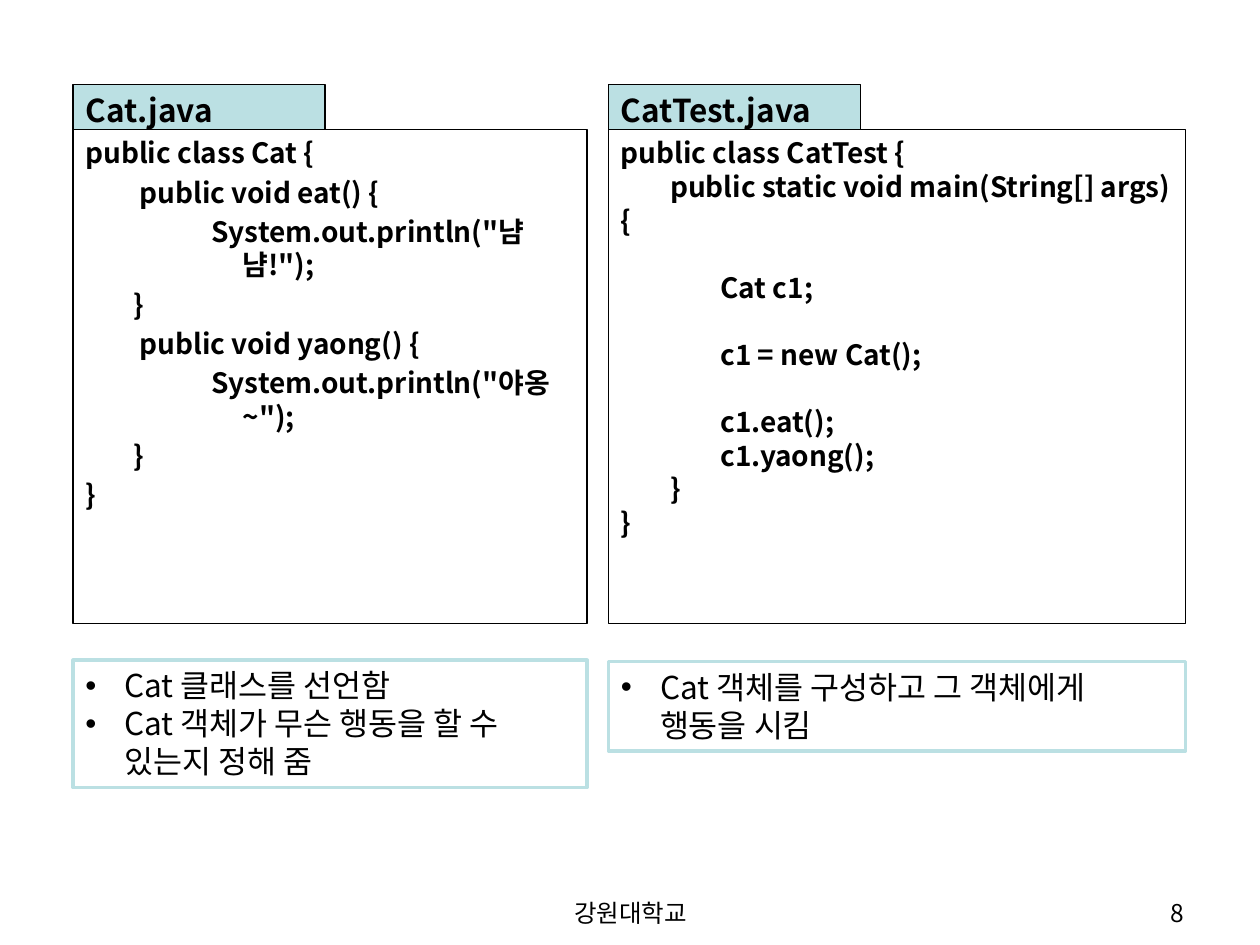
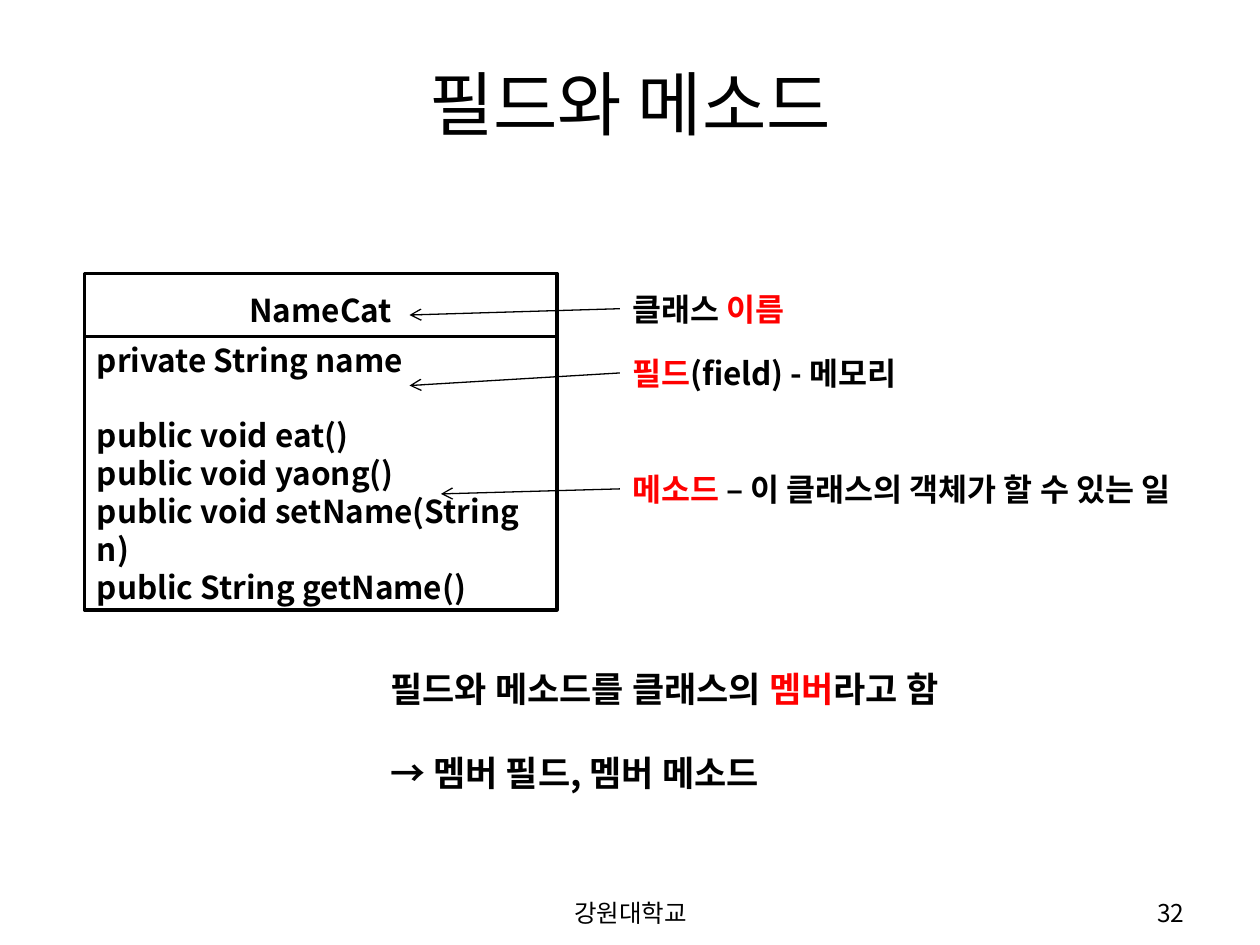
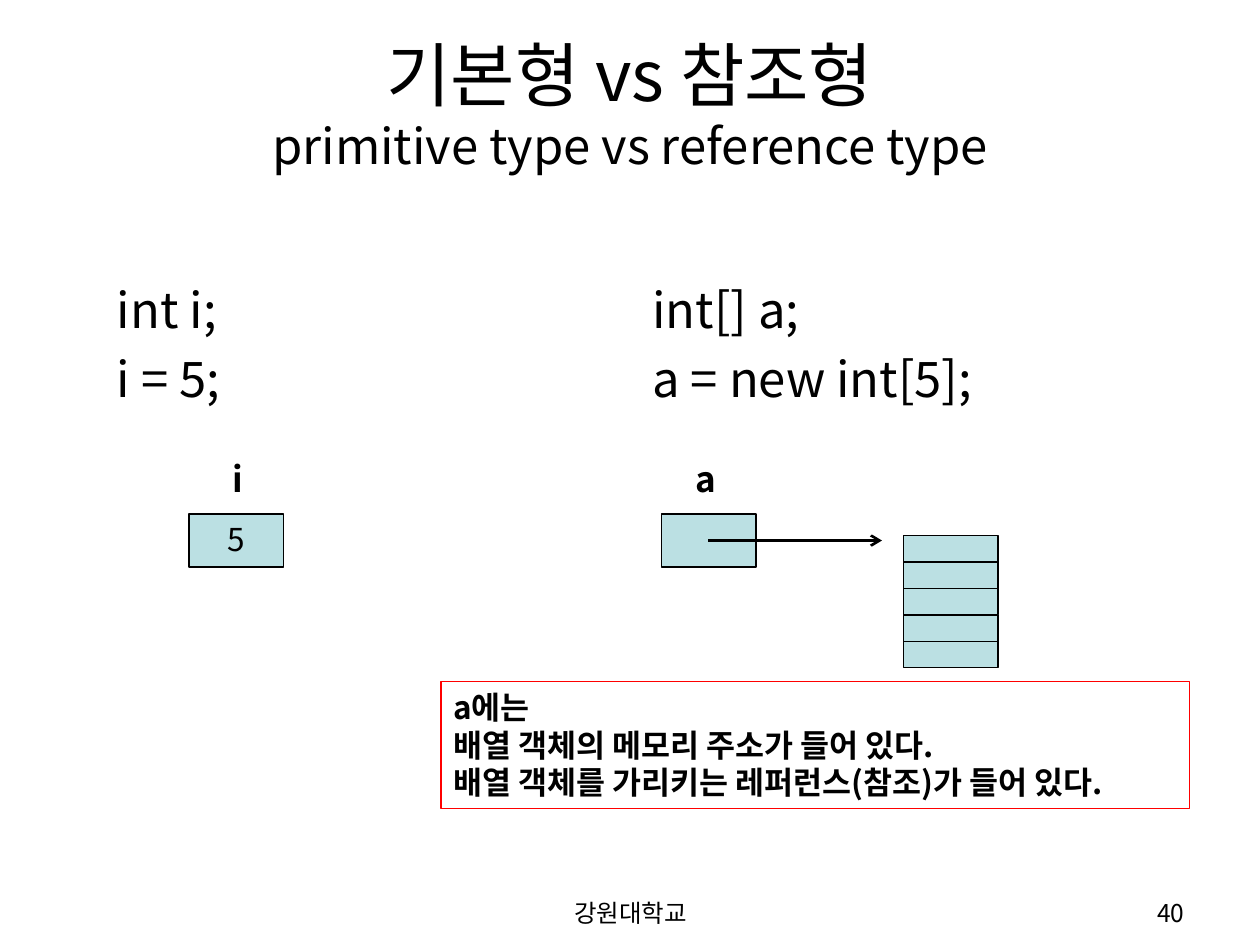
from dataclasses import dataclass

import lxml.etree
import pptx
import pptx.dml.color
import pptx.enum.shapes
import pptx.enum.text
import pptx.oxml.ns
import pptx.presentation
import pptx.shapes.base
import pptx.slide
import pptx.util
from pptx.dml.color import RGBColor
from pptx.enum.text import MSO_ANCHOR, PP_ALIGN
from pptx.util import Inches, Pt

FONT = "Noto Sans CJK KR"
BLACK = RGBColor(0x00, 0x00, 0x00)
WHITE = RGBColor(0xFF, 0xFF, 0xFF)
RED = RGBColor(0xFF, 0x00, 0x00)
TEAL = RGBColor(0xBB, 0xE0, 0xE3)

LINE_HEIGHT = 1.2  # one text line, in multiples of the font size
SCHOOL = "강원대학교"


@dataclass(frozen=True)
class Box:
    left: float
    top: float
    width: float
    height: float


@dataclass(frozen=True)
class Style:
    size: float = 18
    bold: bool = False
    align: PP_ALIGN = PP_ALIGN.LEFT
    anchor: MSO_ANCHOR = MSO_ANCHOR.TOP
    wrap: bool = True


@dataclass(frozen=True)
class Line:
    """A paragraph; gap is the space before it, in multiples of the font size."""
    text: str
    accent: str = ""
    gap: float = 0
    indent: float = 0
    hanging: float = 0
    tabs: tuple[float, ...] = ()
    bullet: bool = False


@dataclass(frozen=True)
class SourceFile:
    name: str
    left: float
    width: float
    code: list[Line]
    note_top: float
    note_height: float
    notes: list[str]


@dataclass(frozen=True)
class MemberLabel:
    line: Line
    top: float
    width: float
    target: tuple[float, float]


TITLE_BOX = Box(0.5, 0.3, 9, 1.03)
FOOTER_BOX = Box(3.42, 7.08, 3.17, 0.27)
NUMBER_BOX = Box(7.17, 7.08, 2.33, 0.27)

TITLE = Style(40, align=PP_ALIGN.CENTER, anchor=MSO_ANCHOR.MIDDLE)
FOOTER = Style(14, align=PP_ALIGN.CENTER)
PAGE_NUMBER = Style(14, align=PP_ALIGN.RIGHT)
CODE = Style(16, bold=True)
PLAIN = Style()
STRONG = Style(bold=True)
LABEL = Style(bold=True, wrap=False)
NOTE = Style(20, bold=True, wrap=False)
STATEMENT = Style(28)


def outer_line(text: str, gap: float = 0.2) -> Line:
    return Line(text, gap=gap, indent=0.38, hanging=0.38)


def inner_line(text: str) -> Line:
    return Line(text, gap=0.2, indent=1.25, hanging=0.25)


def tabbed_line(text: str, gap: float = 0) -> Line:
    return Line(text, gap=gap, tabs=(0.39, 0.79))


SOURCE_FILES = [
    SourceFile(
        "Cat.java", 0.58, 4.08,
        [
            outer_line("public class Cat {", gap=0),
            outer_line("\t public void eat() {"),
            inner_line('System.out.println("냠냠!");'),
            outer_line("\t}"),
            outer_line("\t public void yaong() {"),
            inner_line('System.out.println("야옹~");'),
            outer_line("\t}"),
            outer_line("}"),
        ],
        5.24, 1.01,
        ["Cat 클래스를 선언함", "Cat 객체가 무슨 행동을 할 수 있는지 정해 줌"],
    ),
    SourceFile(
        "CatTest.java", 4.83, 4.58,
        [
            tabbed_line("public class CatTest {"),
            tabbed_line("\tpublic static void main(String[] args) {"),
            tabbed_line("\t\tCat c1;", LINE_HEIGHT),
            tabbed_line("\t\tc1 = new Cat();", LINE_HEIGHT),
            tabbed_line("\t\tc1.eat();", LINE_HEIGHT),
            tabbed_line("\t\tc1.yaong();"),
            tabbed_line("\t}"),
            tabbed_line("}"),
        ],
        5.25, 0.71,
        ["Cat 객체를 구성하고 그 객체에게 행동을 시킴"],
    ),
]

MEMBER_LABELS = [
    MemberLabel(Line("클래스 이름", accent="이름"), 2.25, 1.55, (3.25, 2.5)),
    MemberLabel(Line("필드(field) - 메모리", accent="필드"), 2.76, 2.52, (3.25, 3.06)),
    MemberLabel(Line("메소드 – 이 클래스의 객체가 할 수 있는 일", accent="메소드 "),
                3.68, 4.94, (3.5, 3.92)),
]


def add_xml(parent: lxml.etree._Element, tag: str, **attributes: str) -> lxml.etree._Element:
    return lxml.etree.SubElement(parent, pptx.oxml.ns.qn(tag), attributes)


def format_run(run, style: Style, color: RGBColor) -> None:
    run.font.size = Pt(style.size)
    run.font.bold = style.bold
    run.font.name = FONT
    run.font.color.rgb = color
    add_xml(run.font._element, "a:ea", typeface=FONT)


def write_line(paragraph, line: Line, style: Style) -> None:
    paragraph.alignment = style.align
    if line.gap:
        paragraph.space_before = Pt(round(line.gap * style.size, 1))
    properties = paragraph._p.get_or_add_pPr()
    if line.hanging:
        properties.set("marL", str(Inches(line.indent)))
        properties.set("indent", str(-Inches(line.hanging)))
    if line.bullet:
        add_xml(properties, "a:buFont", typeface="Arial")
        add_xml(properties, "a:buChar", char="•")
    if line.tabs:
        stops = add_xml(properties, "a:tabLst")
        for stop in line.tabs:
            add_xml(stops, "a:tab", pos=str(Inches(stop)), algn="l")

    parts = line.text.partition(line.accent) if line.accent else (line.text,)
    paragraph.text = parts[0]
    for part in parts[1:]:
        if part:
            paragraph.add_run().text = part
    for run in paragraph.runs:
        format_run(run, style, RED if run.text == line.accent else BLACK)


def write(shape: pptx.shapes.base.BaseShape, lines: list[Line], style: Style) -> None:
    frame = shape.text_frame
    frame.word_wrap = style.wrap
    frame.vertical_anchor = style.anchor
    if not style.wrap:
        frame.auto_size = pptx.enum.text.MSO_AUTO_SIZE.SHAPE_TO_FIT_TEXT
    for index, line in enumerate(lines):
        paragraph = frame.add_paragraph() if index else frame.paragraphs[0]
        write_line(paragraph, line, style)


def place(box: Box) -> tuple[int, int, int, int]:
    return Inches(box.left), Inches(box.top), Inches(box.width), Inches(box.height)


def add_text(slide: pptx.slide.Slide, box: Box, lines: list[Line], style: Style):
    text_box = slide.shapes.add_textbox(*place(box))
    write(text_box, lines, style)
    return text_box


def add_panel(slide: pptx.slide.Slide, box: Box, lines: list[Line], style: Style = PLAIN,
              fill: RGBColor | None = None, outline: RGBColor = BLACK,
              outline_width: float = 0.75) -> None:
    panel = slide.shapes.add_shape(pptx.enum.shapes.MSO_SHAPE.RECTANGLE, *place(box))
    panel.shadow.inherit = False
    if fill is None:
        panel.fill.background()
    else:
        panel.fill.solid()
        panel.fill.fore_color.rgb = fill
    panel.line.color.rgb = outline
    panel.line.width = Pt(outline_width)
    write(panel, lines, style)


def add_arrow(slide: pptx.slide.Slide, start: tuple[float, float], end: tuple[float, float],
              width: float = 0.75) -> None:
    arrow = slide.shapes.add_connector(
        pptx.enum.shapes.MSO_CONNECTOR.STRAIGHT, *map(Inches, start + end))
    arrow.line.color.rgb = BLACK
    arrow.line.width = Pt(width)
    add_xml(arrow.line._get_or_add_ln(), "a:tailEnd", type="arrow")
    add_xml(arrow._element.spPr, "a:effectLst")


def add_slide(deck: pptx.presentation.Presentation, number: int) -> pptx.slide.Slide:
    slide = deck.slides.add_slide(deck.slide_layouts[6])
    add_text(slide, FOOTER_BOX, [Line(SCHOOL)], FOOTER)
    add_text(slide, NUMBER_BOX, [Line(str(number))], PAGE_NUMBER)
    return slide


def build_source_files(deck: pptx.presentation.Presentation) -> None:
    slide = add_slide(deck, 8)
    for file in SOURCE_FILES:
        add_panel(slide, Box(file.left, 1.03, file.width, 3.92), file.code, CODE)
        add_panel(slide, Box(file.left, 0.67, 2, 0.36), [Line(file.name)], STRONG, fill=TEAL)
        notes = [Line(note, indent=0.31, hanging=0.31, bullet=True) for note in file.notes]
        add_panel(slide, Box(file.left, file.note_top, file.width, file.note_height),
                  notes, fill=WHITE, outline=TEAL, outline_width=2)


def build_members(deck: pptx.presentation.Presentation) -> None:
    slide = add_slide(deck, 32)
    add_text(slide, TITLE_BOX, [Line("필드와 메소드")], TITLE)

    class_name = Style(bold=True, align=PP_ALIGN.CENTER, anchor=MSO_ANCHOR.MIDDLE)
    add_panel(slide, Box(0.67, 2.17, 3.75, 0.58), [Line("NameCat")], class_name,
              fill=WHITE, outline_width=2)
    members = [
        Line("private String name"),
        Line("public void eat()", gap=LINE_HEIGHT),
        Line("public void yaong()"),
        Line("public void setName(String n)"),
        Line("public String getName()"),
    ]
    add_panel(slide, Box(0.67, 2.67, 3.75, 2.17), members,
              Style(bold=True, anchor=MSO_ANCHOR.MIDDLE), fill=WHITE, outline_width=2)

    for label in MEMBER_LABELS:
        add_text(slide, Box(4.92, label.top, label.width, 0.4), [label.line], LABEL)
        add_arrow(slide, (4.92, label.top + 0.2), label.target)

    summary = [
        Line("필드와 메소드를 클래스의 멤버라고 함", accent="멤버"),
        Line("→ 멤버 필드, 멤버 메소드", gap=LINE_HEIGHT),
    ]
    add_text(slide, Box(3, 5.25, 4.97, 1.11), summary, NOTE)


def build_types(deck: pptx.presentation.Presentation) -> None:
    slide = add_slide(deck, 40)
    title = add_text(slide, TITLE_BOX,
                     [Line("기본형 vs 참조형\nprimitive type vs reference type")], TITLE)
    title.text_frame.paragraphs[0].runs[1].font.size = Pt(28)

    add_text(slide, Box(0.83, 2.17, 1.75, 1.33),
             [Line("int i;"), Line("i = 5;", gap=0.2)], STATEMENT)
    add_text(slide, Box(5.08, 2.17, 4.08, 1.33),
             [Line("int[] a;"), Line("a = new int[5];", gap=0.2)], STATEMENT)

    add_text(slide, Box(1.75, 3.58, 0.27, 0.44), [Line("i")], NOTE)
    add_panel(slide, Box(1.5, 4.08, 0.75, 0.42), [Line("5")],
              Style(align=PP_ALIGN.CENTER), fill=TEAL)
    add_text(slide, Box(5.42, 3.58, 0.36, 0.44), [Line("a")], NOTE)
    add_panel(slide, Box(5.25, 4.08, 0.75, 0.42), [], fill=TEAL)

    cell_height = 0.21
    for index in range(5):
        add_panel(slide, Box(7.17, 4.25 + index * cell_height, 0.75, cell_height), [], fill=TEAL)
    add_arrow(slide, (5.62, 4.29), (7, 4.29), width=1.5)

    explanation = [
        Line("a에는"),
        Line("배열 객체의 메모리 주소가 들어 있다."),
        Line("배열 객체를 가리키는 레퍼런스(참조)가 들어 있다."),
    ]
    add_panel(slide, Box(3.5, 5.41, 5.94, 1.01), explanation, STRONG, outline=RED)


def main() -> None:
    deck = pptx.Presentation()
    deck.slide_width = Inches(10)
    deck.slide_height = Inches(7.5)
    build_source_files(deck)
    build_members(deck)
    build_types(deck)
    deck.save("out.pptx")


if __name__ == "__main__":
    main()
